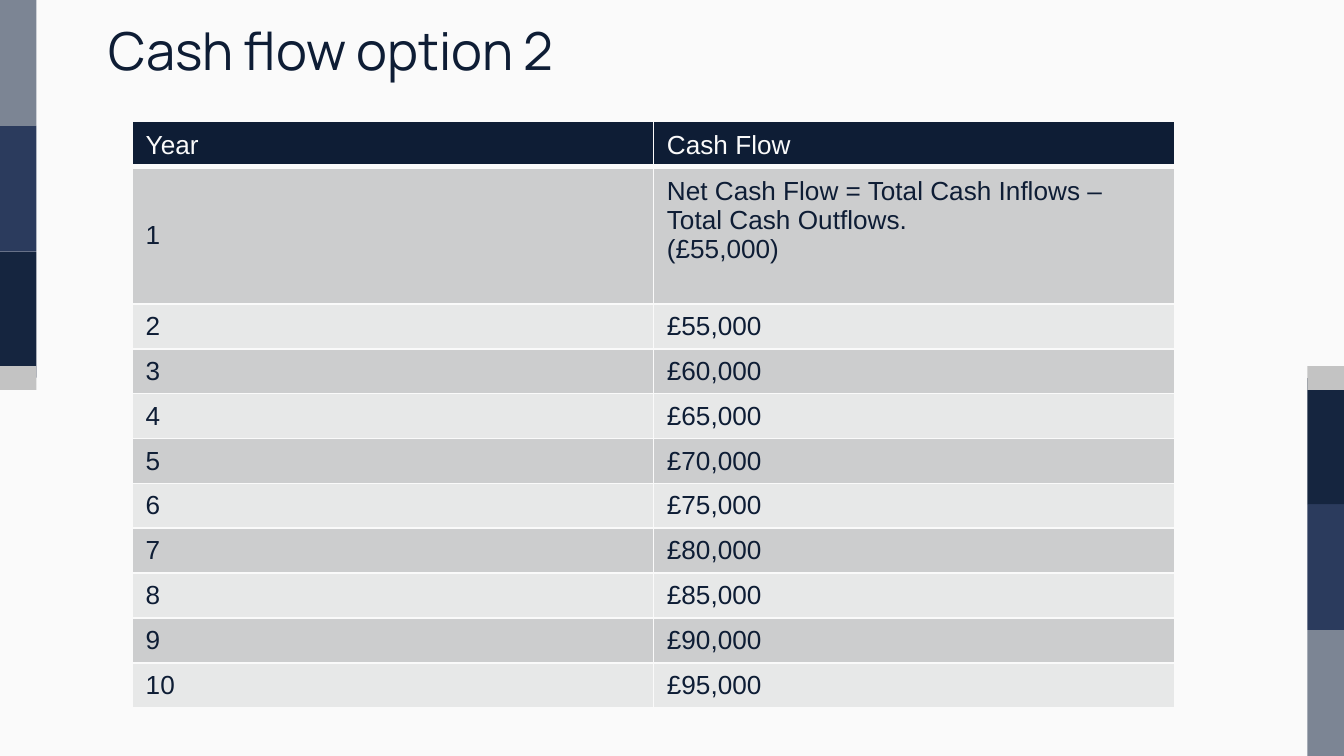
from lxml.etree import SubElement
from pptx import Presentation
from pptx.dml.color import RGBColor
from pptx.enum.shapes import MSO_SHAPE
from pptx.enum.text import MSO_ANCHOR, PP_ALIGN
from pptx.oxml.ns import qn
from pptx.util import Cm, Pt

PAPER = RGBColor(0xFA, 0xFA, 0xFA)
INK = RGBColor(0x0E, 0x1D, 0x35)
SLATE = RGBColor(0x7C, 0x85, 0x94)
BLUE = RGBColor(0x2B, 0x3B, 0x5D)
NAVY = RGBColor(0x15, 0x25, 0x3F)
SILVER = RGBColor(0xC3, 0xC3, 0xC3)
BAND_DARK = RGBColor(0xCC, 0xCD, 0xCE)
BAND_LIGHT = RGBColor(0xE7, 0xE8, 0xE8)

SLIDE_W, SLIDE_H = 25.4, 14.29


def write(tf, text, size=14, font="Arial", color=INK, align=PP_ALIGN.LEFT):
    """Fill a text frame, one paragraph per line of text."""
    tf.word_wrap = True
    tf.text = text
    for p in tf.paragraphs:
        p.alignment = align
        for r in p.runs:
            r.font.size = Pt(size)
            r.font.name = font
            r.font.color.rgb = color


def add_borders(cell, bottom=1):
    """Draw paper-coloured lines on all four sides of a cell."""
    tc_pr = cell._tc.get_or_add_tcPr()
    for side, width in (("L", 1), ("R", 1), ("T", 1), ("B", bottom)):
        ln = SubElement(tc_pr, qn(f"a:ln{side}"), w=str(Pt(width)))
        fill = SubElement(ln, qn("a:solidFill"))
        SubElement(fill, qn("a:srgbClr"), val=str(PAPER))


prs = Presentation()
prs.slide_width, prs.slide_height = Cm(SLIDE_W), Cm(SLIDE_H)
slide = prs.slides.add_slide(prs.slide_layouts[6])
slide.background.fill.solid()
slide.background.fill.fore_color.rgb = PAPER

# Side strips: the right one is the left one turned upside down
STRIP_W, BLOCK_H = 0.69, 2.38
BLOCKS = [
    (BLUE, BLOCK_H, BLOCK_H),
    (SLATE, 0, BLOCK_H),
    (NAVY, 2 * BLOCK_H, BLOCK_H),
    (SILVER, 6.92, 0.45),
]
for left, flipped in ((0, False), (SLIDE_W - STRIP_W, True)):
    strip = slide.shapes.add_group_shape()
    for color, top, height in BLOCKS:
        y = SLIDE_H - top - height if flipped else top
        sp = strip.shapes.add_shape(
            MSO_SHAPE.RECTANGLE, Cm(left), Cm(y), Cm(STRIP_W), Cm(height))
        sp.shadow.inherit = False
        sp.fill.solid()
        sp.fill.fore_color.rgb = color
        sp.line.fill.background()

# Title
title = slide.shapes.add_textbox(Cm(1.42), Cm(0.61), Cm(9.88), Cm(1.17))
tf = title.text_frame
tf.margin_left = tf.margin_right = tf.margin_top = tf.margin_bottom = Cm(0.25)
tf.vertical_anchor = MSO_ANCHOR.BOTTOM
write(tf, "Cash flow option 2 ", size=28, font="Manrope", align=PP_ALIGN.CENTER)

# Cash flow table
FIRST_YEAR = "Net Cash Flow = Total Cash Inflows – Total Cash Outflows.\n(£55,000)"
rows = [("Year", "Cash Flow"), ("1", FIRST_YEAR)]
rows += [(str(year), f"£{45 + 5 * year},000") for year in range(2, 11)]
heights = [0.79, 2.48] + [0.84] * 9

frame = slide.shapes.add_table(
    len(rows), 2, Cm(2.5), Cm(2.3), Cm(19.7), Cm(sum(heights)))
table = frame.table
for column in table.columns:
    column.width = Cm(9.85)

for i, (values, height) in enumerate(zip(rows, heights)):
    table.rows[i].height = Cm(height)
    header = i == 0
    for j, value in enumerate(values):
        cell = table.cell(i, j)
        add_borders(cell, bottom=3 if header else 1)
        cell.fill.solid()
        cell.fill.fore_color.rgb = (
            INK if header else BAND_DARK if i % 2 else BAND_LIGHT)
        cell.vertical_anchor = MSO_ANCHOR.BOTTOM if header else MSO_ANCHOR.MIDDLE
        write(cell.text_frame, value, color=PAPER if header else INK)
        for p in cell.text_frame.paragraphs:
            p.font.bold = False

# Free space under the first-year formula
table.cell(1, 1).margin_bottom = Cm(0.69)

prs.save("out.pptx")
